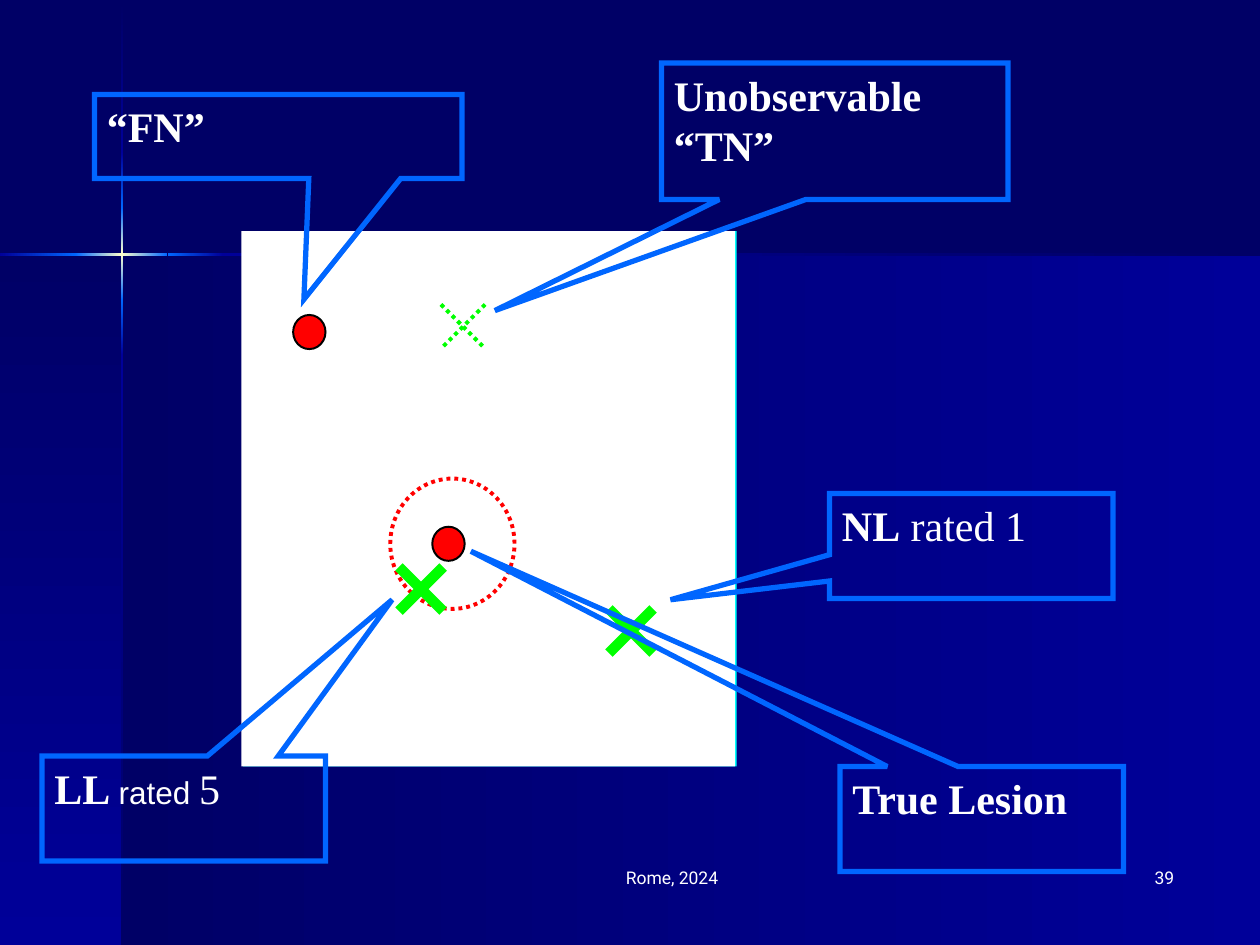
from copy import deepcopy

from lxml import etree
from pptx import Presentation
from pptx.dml.color import RGBColor
from pptx.enum.dml import MSO_LINE
from pptx.enum.shapes import MSO_CONNECTOR, MSO_SHAPE
from pptx.enum.text import MSO_ANCHOR, PP_ALIGN
from pptx.oxml.ns import qn
from pptx.util import Pt

RECTANGLE, OVAL = MSO_SHAPE.RECTANGLE, MSO_SHAPE.OVAL
CALLOUT = MSO_SHAPE.RECTANGULAR_CALLOUT
STRAIGHT = MSO_CONNECTOR.STRAIGHT
DOTTED = MSO_LINE.ROUND_DOT
TOP = MSO_ANCHOR.TOP
CENTER, RIGHT = PP_ALIGN.CENTER, PP_ALIGN.RIGHT

NAVY = RGBColor(0x00, 0x00, 0x66)
BLUE = RGBColor(0x00, 0x00, 0x99)
BRIGHT = RGBColor(0x00, 0x66, 0xFF)
CREAM = RGBColor(0xFF, 0xFF, 0xCC)
WHITE = RGBColor(0xFF, 0xFF, 0xFF)
BLACK = RGBColor(0x00, 0x00, 0x00)
CYAN = RGBColor(0x00, 0xFF, 0xFF)
RED = RGBColor(0xFF, 0x00, 0x00)
GREEN = RGBColor(0x00, 0xFF, 0x00)
SERIF = "Times New Roman"

deck = Presentation()
deck.slide_width, deck.slide_height = Pt(720), Pt(540)
page = deck.slides.add_slide(deck.slide_layouts[6])
page.background.fill.solid()
page.background.fill.fore_color.rgb = NAVY


def add_box(kind, left, top, width, height, fill=None, line=None, weight=1):
    box = page.shapes.add_shape(kind, Pt(left), Pt(top), Pt(width), Pt(height))
    box.shadow.inherit = False
    for part, color in ((box.fill, fill), (box.line.fill, line)):
        if color is None:
            part.background()
        else:
            part.solid()
            part.fore_color.rgb = color
    if line is not None:
        box.line.width = Pt(weight)
    return box


def add_gradient(left, top, width, height, colors, downward):
    box = add_box(RECTANGLE, left, top, width, height)
    box.fill.gradient()
    box.fill.gradient_angle = 270 if downward else 0
    stops = box._element.spPr.find(".//" + qn("a:gsLst"))
    if len(colors) == 3:
        stops.insert(1, deepcopy(stops[0]))
    for index, (stop, color) in enumerate(zip(box.fill.gradient_stops, colors)):
        stop.color.rgb = color
        stop.position = index / (len(colors) - 1)


# Background panels
add_gradient(69.84, 145.44, 650.16, 394.56, (NAVY, BLUE), False)
add_gradient(0, 145.44, 69.84, 394.56, (NAVY, BLUE), True)

# Crossing light beams: start, end, colours along the beam
vertical_beam = [
    (0.72, 87.12, (NAVY, BLUE)),
    (203.04, 540, (BLUE, NAVY)),
    (171.36, 203.04, (BRIGHT, BLUE)),
    (87.12, 118.8, (BLUE, BRIGHT)),
    (118.8, 171.36, (BRIGHT, CREAM, BRIGHT)),
]
horizontal_beam = [
    (127.44, 720, (BLUE, NAVY)),
    (0, 43.92, (BLUE, BRIGHT)),
    (95.76, 127.44, (BRIGHT, BLUE)),
    (43.2, 95.76, (BRIGHT, CREAM, BRIGHT)),
]
for start, end, colors in vertical_beam:
    add_gradient(69.12, start, 1.44, end - start, colors, True)
for start, end, colors in horizontal_beam:
    add_gradient(start, 144.72, end - start, 1.44, colors, False)

# Footer and page number
for left, width, align, words in ((270, 228, CENTER, "Rome, 2024"), (528, 150, RIGHT, "39")):
    box = page.shapes.add_textbox(Pt(left), Pt(492), Pt(width), Pt(36))
    box.text_frame.word_wrap = True
    para = box.text_frame.paragraphs[0]
    para.text = words
    para.alignment = align
    para.font.size, para.font.name = Pt(10), "Roboto"
    para.font.color.rgb = WHITE

# Image field with lesions and the acceptance circle
add_box(RECTANGLE, 139, 132, 282, 306, CYAN)
add_box(RECTANGLE, 138, 132, 282, 306, WHITE)
for left, top in ((247, 301), (167.5, 180)):
    add_box(OVAL, left, top, 18.5, 19.5, RED, BLACK, 1.13)
circle = add_box(OVAL, 223, 273.5, 71, 74.5, line=RED, weight=2.25)
circle.line.dash_style = DOTTED

# Reader marks
MARK = 25.2
for left, top, weight, dash in ((348, 348, 6, None), (252, 174, 2.25, DOTTED), (228, 324, 6, None)):
    for start, end in ((left, left + MARK), (left + MARK, left)):
        stroke = page.shapes.add_connector(STRAIGHT, Pt(start), Pt(top), Pt(end), Pt(top + MARK))
        stroke.line.color.rgb = GREEN
        stroke.line.width = Pt(weight)
        if dash:
            stroke.line.dash_style = dash
        etree.SubElement(stroke._element.spPr, qn("a:effectLst"))

# Callouts: place, pointer offset, runs of (words, bold, font, size)
callouts = [
    ((474, 282, 162, 60), (-1.061, 0.512),
     [("NL", True, SERIF, 24), (" rated 1", False, SERIF, 24)]),
    ((54, 54, 210, 48), (0.07, 1.94), [("“FN”", True, SERIF, 24)]),
    ((378, 36, 198, 78), (-0.981, 1.314), [("Unobservable “TN”", True, SERIF, 24)]),
    ((24, 432, 162, 60), (0.735, -1.988),
     [("LL ", True, SERIF, 24), ("rated ", False, "Arial", 18), ("5", False, SERIF, 24)]),
    ((480, 438, 162, 60), (-1.802, -2.55), [("True Lesion", True, SERIF, 24)]),
]
for place, pointer, runs in callouts:
    box = add_box(CALLOUT, *place, line=BRIGHT, weight=3)
    box.adjustments[0], box.adjustments[1] = pointer
    etree.SubElement(box._element.spPr.find(qn("a:ln")), qn("a:miter"), lim="800000")
    box.text_frame.word_wrap = True
    box.text_frame.vertical_anchor = TOP
    para = box.text_frame.paragraphs[0]
    para.alignment = PP_ALIGN.LEFT
    for words, bold, font, size in runs:
        span = para.add_run()
        span.text = words
        span.font.bold, span.font.name, span.font.size = bold, font, Pt(size)
        span.font.color.rgb = WHITE

deck.save("out.pptx")
